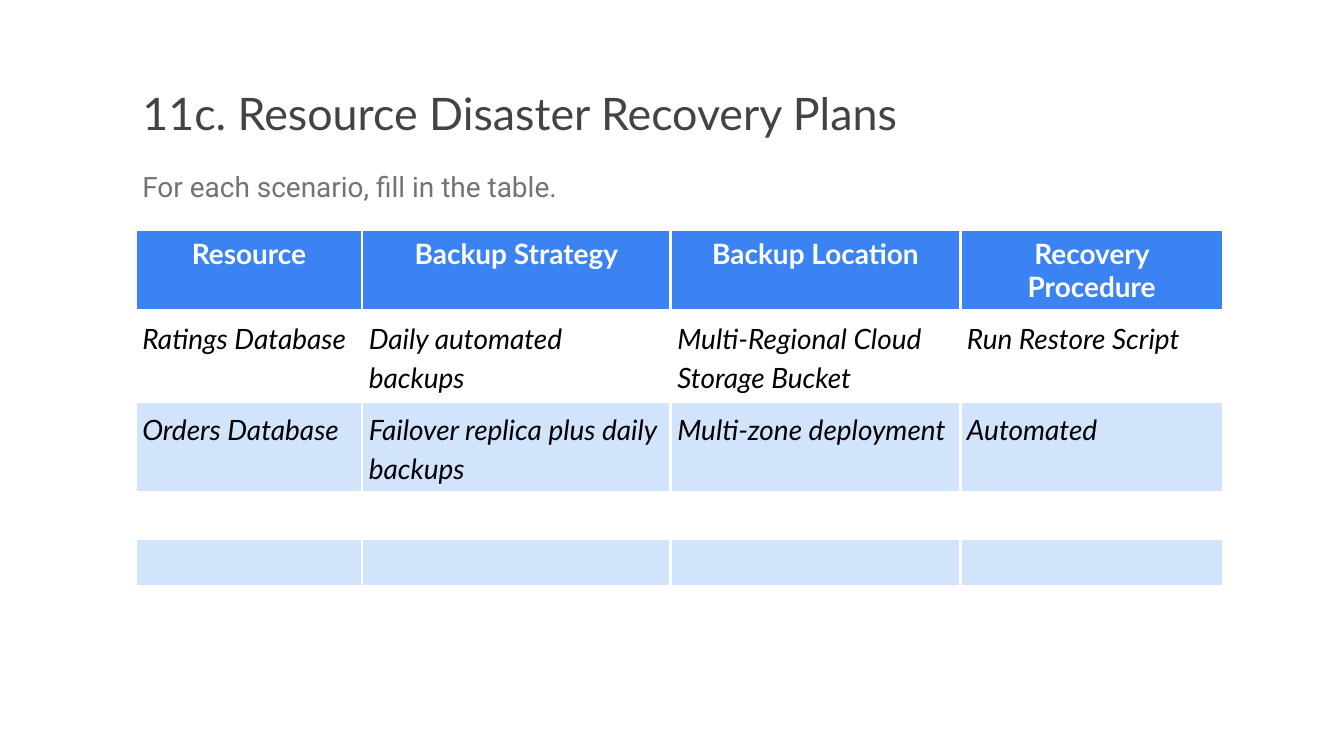
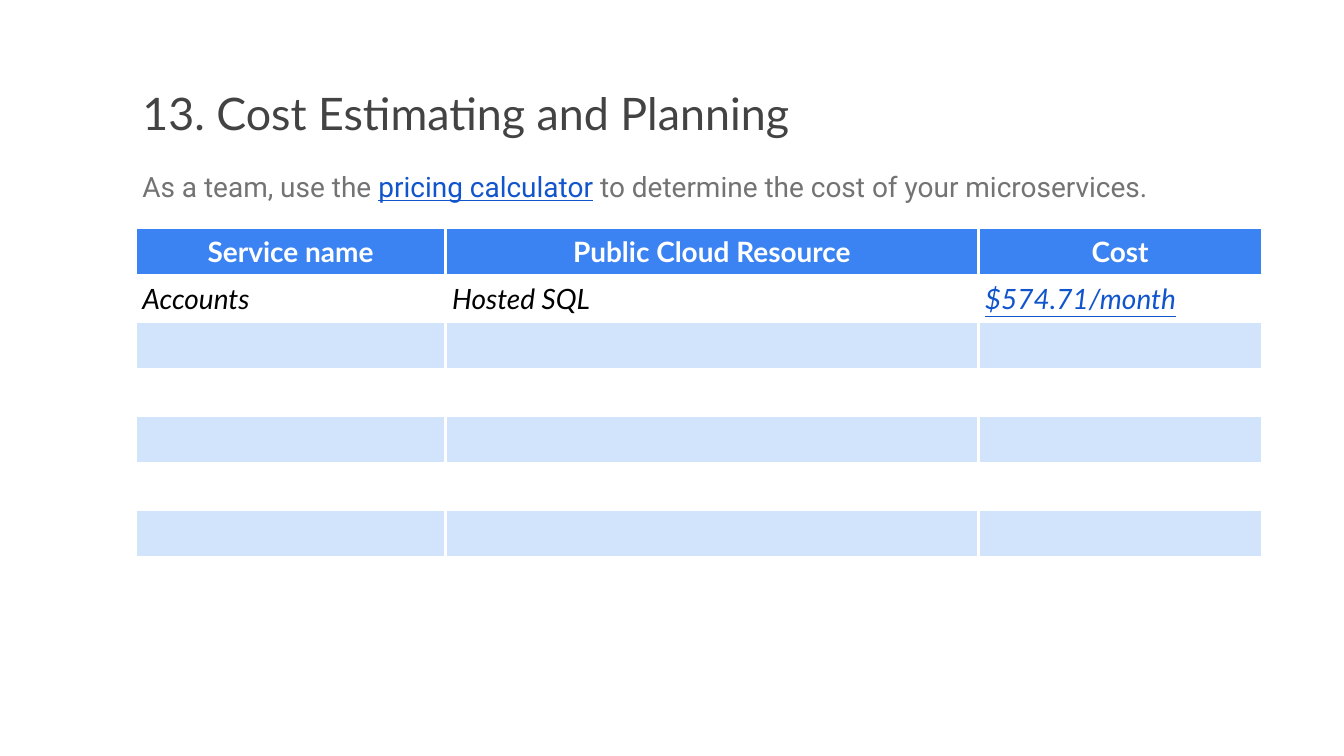
import dataclasses

import lxml.etree
import pptx
import pptx.dml.color
import pptx.enum.text
import pptx.oxml.ns
import pptx.util

Cm = pptx.util.Cm
Pt = pptx.util.Pt
ALIGN = pptx.enum.text.PP_ALIGN


@dataclasses.dataclass(frozen=True)
class Theme:
    heading_font: str = "Lato"
    body_font: str = "Roboto"
    title_size: int = 48
    text_size: int = 30
    title_color: str = "434343"
    intro_color: str = "737373"
    link_color: str = "1155CC"
    cell_color: str = "000000"
    header_color: str = "FFFFFF"
    header_fill: str = "3B83F3"
    band_fill: str = "D2E3FC"
    border_color: str = "FFFFFF"
    border_width: int = 3
    left: float = 5.13
    inset: float = 0.25
    row_height: float = 1.78
    loose_spacing: float = 1.15


THEME = Theme()


def rgb(value):
    return pptx.dml.color.RGBColor.from_string(value)


def add_span(para, text, font, size, color, bold=False, italic=False, underline=False):
    span = para.add_run()
    span.text = text
    span.font.name = font
    span.font.size = Pt(size)
    span.font.color.rgb = rgb(color)
    span.font.bold = bold
    span.font.italic = italic
    span.font.underline = underline


def set_margins(holder):
    for side in ("left", "right", "top", "bottom"):
        setattr(holder, f"margin_{side}", Cm(THEME.inset))


def add_text_box(page, top, width, height):
    box = page.shapes.add_textbox(Cm(THEME.left), Cm(top), Cm(width), Cm(height))
    box.text_frame.word_wrap = True
    set_margins(box.text_frame)
    return box.text_frame.paragraphs[0]


def add_title(page, text):
    para = add_text_box(page, 3, 40.6, 3)
    add_span(para, text, THEME.heading_font, THEME.title_size, THEME.title_color)


def add_intro(page, parts):
    para = add_text_box(page, 5.97, 43, 2.2)
    para.line_spacing = THEME.loose_spacing
    para.space_after = Pt(16)
    for text, linked in parts:
        color = THEME.link_color if linked else THEME.intro_color
        add_span(para, text, THEME.body_font, THEME.text_size, color, underline=linked)


def add_borders(cell):
    properties = cell._tc.get_or_add_tcPr()
    for side in ("lnL", "lnR", "lnT", "lnB"):
        line = lxml.etree.SubElement(properties, pptx.oxml.ns.qn(f"a:{side}"))
        line.set("w", str(Pt(THEME.border_width)))
        fill = lxml.etree.SubElement(line, pptx.oxml.ns.qn("a:solidFill"))
        color = lxml.etree.SubElement(fill, pptx.oxml.ns.qn("a:srgbClr"))
        color.set("val", THEME.border_color)


def fill_cell(cell, row):
    if row > 0 and row % 2:
        cell.fill.background()
        return
    cell.fill.solid()
    cell.fill.fore_color.rgb = rgb(THEME.band_fill if row else THEME.header_fill)


def write_cell(cell, text, is_header, linked, spacing):
    para = cell.text_frame.paragraphs[0]
    if is_header:
        para.alignment = ALIGN.CENTER
        color = THEME.header_color
    else:
        para.line_spacing = spacing
        color = THEME.link_color if linked else THEME.cell_color
    add_span(para, text, THEME.heading_font, THEME.text_size, color,
             bold=is_header, italic=not is_header, underline=linked)


def add_banded_table(page, top, widths, heights, rows, spacing=1.0, links=()):
    frame = page.shapes.add_table(len(heights), len(widths), Cm(THEME.left), Cm(top),
                                  Cm(sum(widths)), Cm(sum(heights)))
    table = frame.table
    table.horz_banding = False
    for column, width in zip(table.columns, widths):
        column.width = Cm(width)
    for row, height in enumerate(heights):
        table.rows[row].height = Cm(height)
        for column in range(len(widths)):
            cell = table.cell(row, column)
            set_margins(cell)
            add_borders(cell)
            fill_cell(cell, row)
            if row < len(rows):
                write_cell(cell, rows[row][column], row == 0, (row, column) in links, spacing)


def add_page(deck, title, intro):
    page = deck.slides.add_slide(deck.slide_layouts[6])
    add_title(page, title)
    add_intro(page, intro)
    return page


def add_recovery_page(deck):
    page = add_page(deck, "11c. Resource Disaster Recovery Plans",
                    [("For each scenario, fill in the table.", False)])
    rows = [
        ("Resource", "Backup Strategy", "Backup Location", "Recovery Procedure"),
        ("Ratings Database", "Daily automated backups",
         "Multi-Regional Cloud Storage Bucket", "Run Restore Script"),
        ("Orders Database", "Failover replica plus daily backups",
         "Multi-zone deployment", "Automated"),
    ]
    heights = [3.05, 3.43, 3.43] + [THEME.row_height] * 3
    add_banded_table(page, 8.69, [8.56, 11.66, 10.95, 9.93], heights, rows,
                     spacing=THEME.loose_spacing)


def add_cost_page(deck):
    page = add_page(deck, "13. Cost Estimating and Planning", [
        ("As a team, use the ", False),
        ("pricing calculator", True),
        (" to determine the cost of your microservices.", False),
    ])
    rows = [
        ("Service name", "Public Cloud Resource", "Cost"),
        ("Accounts", "Hosted SQL", "$574.71/month"),
    ]
    add_banded_table(page, 8.61, [11.71, 20.14, 10.72], [THEME.row_height] * 8, rows,
                     links={(1, 2)})


def main():
    deck = pptx.Presentation()
    deck.slide_width = Cm(50.8)
    deck.slide_height = Cm(28.58)
    add_recovery_page(deck)
    add_cost_page(deck)
    deck.save("out.pptx")


if __name__ == "__main__":
    main()
